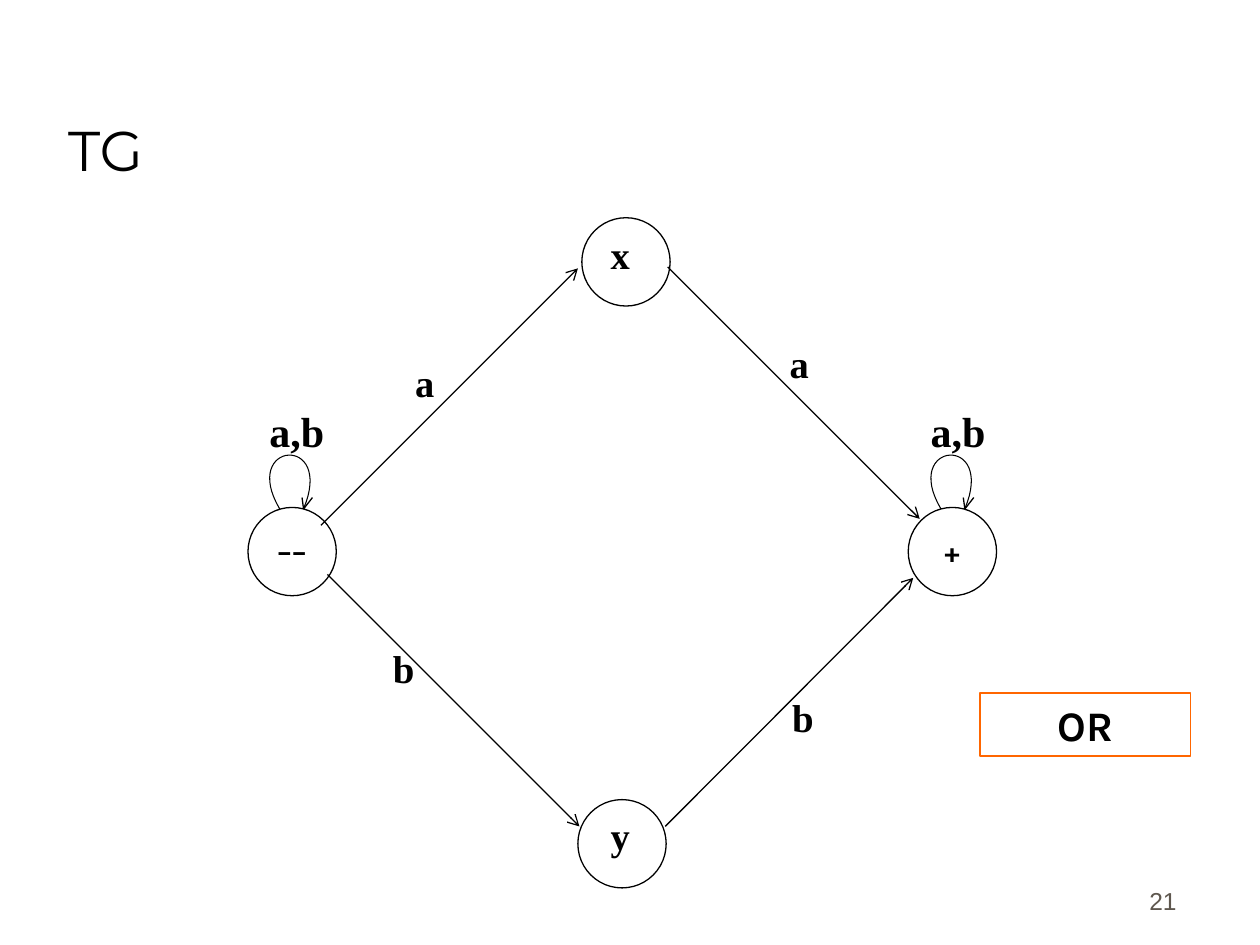
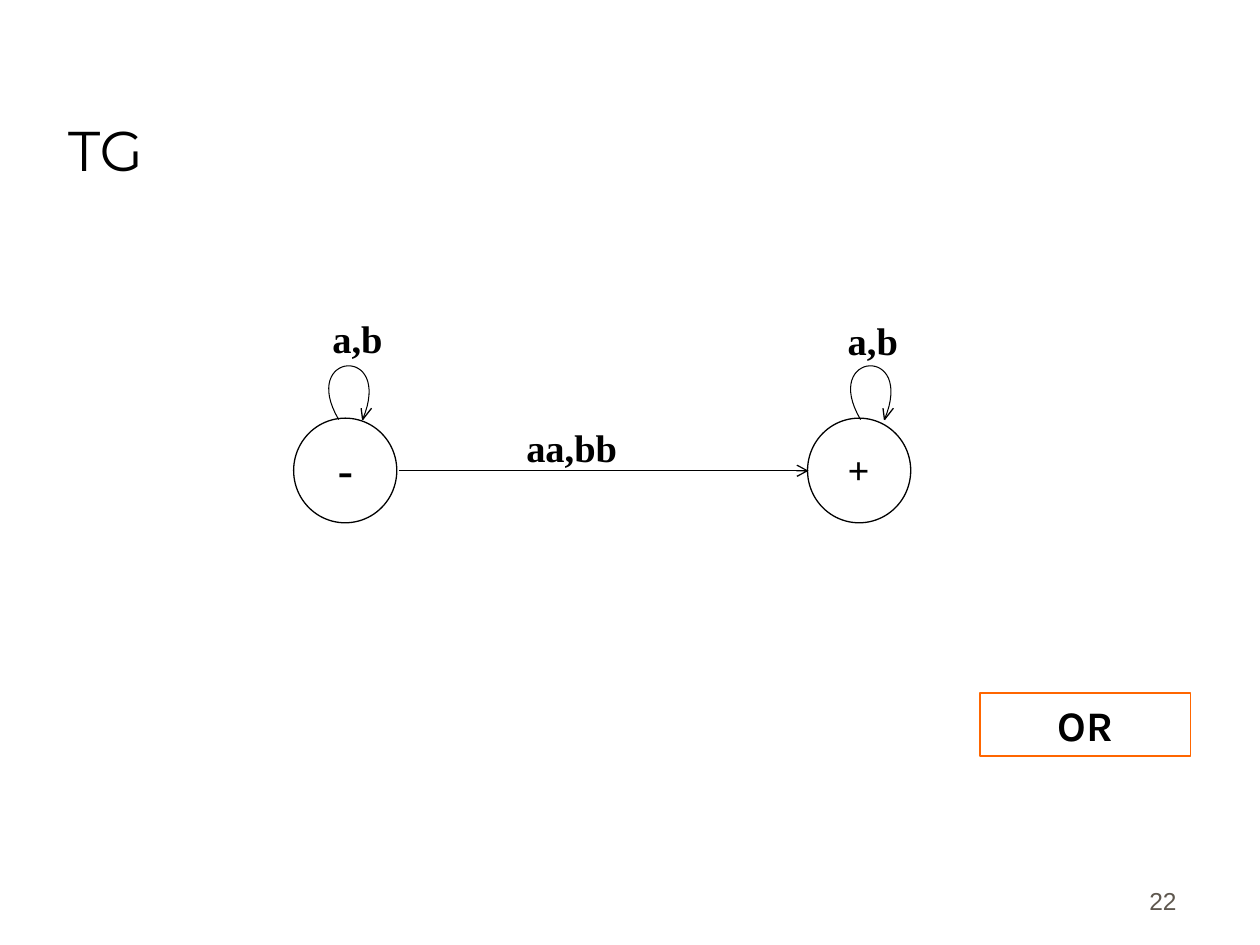
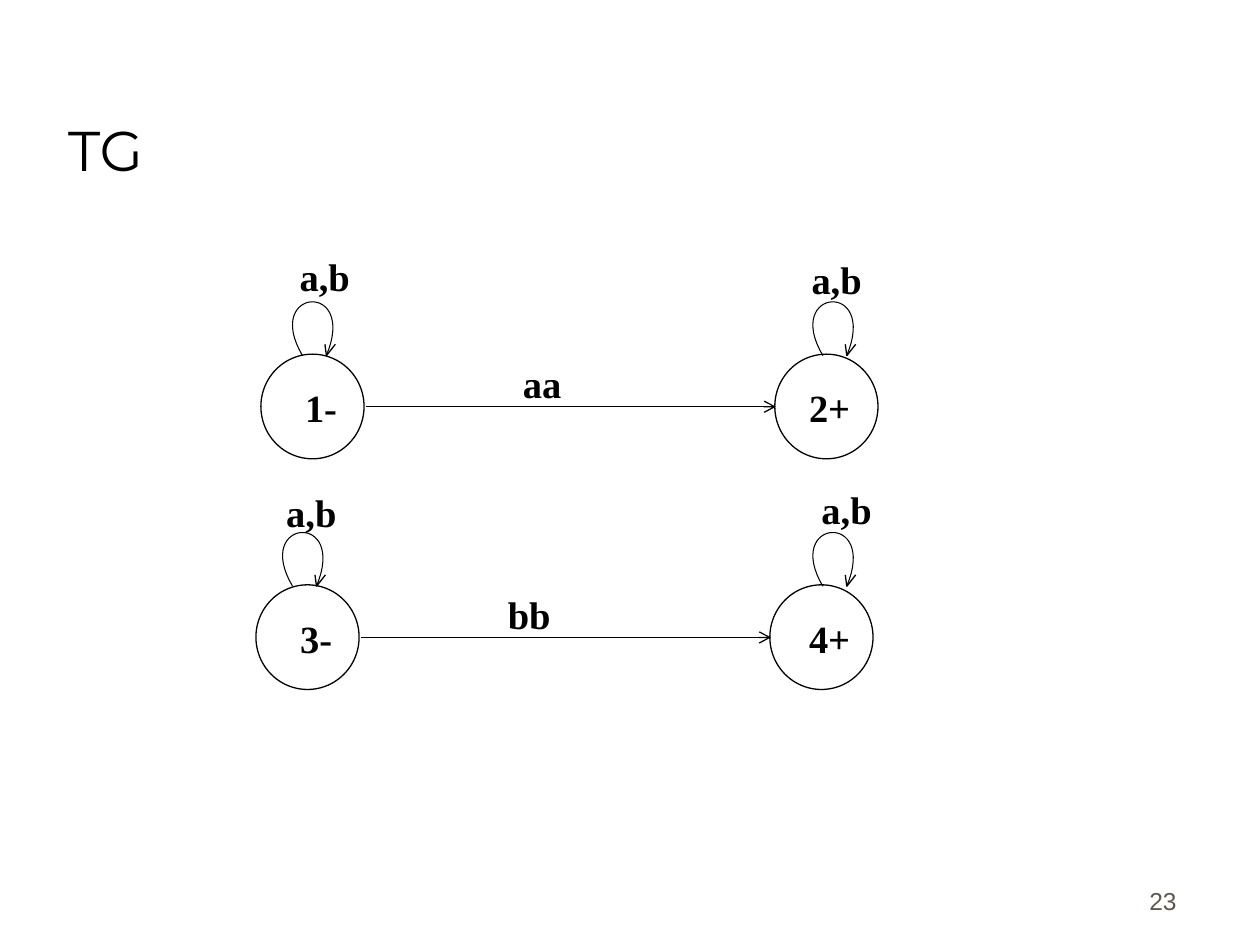
import pptx
import pptx.util
import pptx.dml.color
import pptx.enum.shapes
import pptx.enum.text
import pptx.oxml
import pptx.oxml.ns

Cm, Pt = pptx.util.Cm, pptx.util.Pt
KIND = pptx.enum.shapes.MSO_SHAPE
ALIGN = pptx.enum.text.PP_ALIGN
ANCHOR = pptx.enum.text.MSO_ANCHOR
HUES = {"ink": "000000", "paper": "FFFFFF", "frame": "FF6600", "page": "5E574E"}
FONTS = {"title": "Montserrat", "page": "Arial", "sign": "Karla", "mark": "Times New Roman"}


def hue(name):
    """Return the named colour."""
    return pptx.dml.color.RGBColor.from_string(HUES[name])


def write(shape, text, face, size, bold=False, align=ALIGN.LEFT, ink="ink"):
    """Put one formatted paragraph in a shape and return it."""
    frame = shape.text_frame
    frame.word_wrap = True
    frame.text = text
    para = frame.paragraphs[0]
    para.alignment = align
    font = para.font
    font.name, font.size, font.bold = FONTS[face], Pt(size), bold
    font.color.rgb = hue(ink)
    return para


def label(slide, text, x, y, size=22, lead=None):
    """Add a bold label for a state or an edge."""
    box = slide.shapes.add_textbox(Cm(x), Cm(y), Cm(2.49), Cm(1.7))
    write(box, text, "mark", size, True).line_spacing = lead


def sign(slide, text, x, y):
    """Add a centred sign on a state."""
    box = slide.shapes.add_textbox(Cm(x), Cm(y), Cm(2.49), Cm(1.27))
    write(box, text, "sign", 16, True, ALIGN.CENTER)


def panel(slide, kind, x, y, wide, high, edge="ink", width=0.75):
    """Add a white outlined shape."""
    shape = slide.shapes.add_shape(kind, Cm(x), Cm(y), Cm(wide), Cm(high))
    shape.shadow.inherit = False
    shape.fill.solid()
    shape.fill.fore_color.rgb = hue("paper")
    shape.line.color.rgb = hue(edge)
    shape.line.width = Pt(width)
    return shape


def line(slide, start, end, arrow=False):
    """Draw a straight line, with an arrowhead if asked."""
    ends = [Cm(v) for v in (*start, *end)]
    link = slide.shapes.add_connector(pptx.enum.shapes.MSO_CONNECTOR.STRAIGHT, *ends)
    link.line.color.rgb = hue("ink")
    link.line.width = Pt(0.75)
    props = link._element.spPr
    if arrow:
        stroke = props.find(pptx.oxml.ns.qn("a:ln"))
        tail = pptx.oxml.parse_xml(f'<a:tailEnd {pptx.oxml.ns.nsdecls("a")} type="arrow"/>')
        stroke.append(tail)
    props.append(pptx.oxml.parse_xml(f'<a:effectLst {pptx.oxml.ns.nsdecls("a")}/>'))


def loop(slide, x, y):
    """Draw a self-loop that leaves a state at the given point."""
    pulls = [(-0.81, -1.37), (1.12, -1.52), (0.48, 0)]
    steps = 32
    points = []
    for step in range(1, steps + 1):
        t = step / steps
        parts = (3 * t * (1 - t) ** 2, 3 * t * t * (1 - t), t ** 3)
        dx, dy = (sum(k * p[axis] for k, p in zip(parts, pulls)) for axis in (0, 1))
        points.append((Cm(x + dx), Cm(y + dy)))
    pen = slide.shapes.build_freeform(Cm(x), Cm(y))
    pen.add_line_segments(points, close=False)
    curve = pen.convert_to_shape()
    curve.shadow.inherit = False
    curve.fill.background()
    curve.line.color.rgb = hue("ink")
    curve.line.width = Pt(0.6)
    tip = x + 0.48, y
    for dx in (-0.03, 0.18):
        line(slide, (tip[0] + dx, y - 0.23), tip)


def page(deck, number):
    """Add a slide with its title and number."""
    slide = deck.slides.add_slide(deck.slide_layouts[5])
    title = slide.shapes.title
    title.left, title.top, title.width, title.height = Cm(1.12), Cm(0.64), Cm(21.59), Cm(3.18)
    write(title, "TG", "title", 32)
    title.text_frame.vertical_anchor = ANCHOR.BOTTOM
    foot = slide.shapes.add_textbox(Cm(18.69), Cm(17.3), Cm(5.28), Cm(1.27))
    write(foot, str(number), "page", 14, align=ALIGN.RIGHT, ink="page")
    foot.text_frame.vertical_anchor = ANCHOR.BOTTOM
    return slide


def choice(slide, x, y):
    """Add the framed word between two graphs."""
    box = panel(slide, KIND.RECTANGLE, x, y, 4.24, 1.27, "frame", 1)
    write(box, "OR", "sign", 24, True, ALIGN.CENTER)


def diamond(slide, x, y):
    """Draw the graph of four states."""
    for dx, dy in [(0, 5.84), (13.31, 5.84), (6.73, 0), (6.65, 11.73)]:
        panel(slide, KIND.OVAL, x + dx, y + dy, 1.78, 1.78)
    edges = [
        ((1.47, 6.2), (6.65, 1.02)),
        ((8.46, 0.99), (13.54, 6.07)),
        ((1.6, 7.19), (6.68, 12.27)),
        ((8.41, 12.27), (13.41, 7.26)),
    ]
    for (ax, ay), (bx, by) in edges:
        line(slide, (x + ax, y + ay), (x + bx, y + by), True)
    marks = [
        ("a", 3.12, 2.72, 22, None), ("a", 10.67, 2.34, 22, None),
        ("b", 2.67, 8.59, 22.2, 0.9), ("b", 10.72, 9.58, 22.2, 0.9),
        ("a,b", 0.18, 3.66, 24, None), ("a,b", 13.51, 3.66, 24, None),
        ("x", 7.06, 0.15, 22, None), ("y", 7.06, 11.86, 22, None),
    ]
    for text, dx, dy, size, lead in marks:
        label(slide, text, x + dx, y + dy, size, lead)
    for text, dx in [("––", -0.36), ("+", 12.95)]:
        sign(slide, text, x + dx, y + 6.27)
    for dx in (0.64, 13.97):
        loop(slide, x + dx, y + 5.87)


def pair(slide, x, y, loops, marks):
    """Draw two looped states joined by an arrow."""
    for dx in (0, 10.36):
        panel(slide, KIND.OVAL, x + dx, y, 2.08, 2.11)
    line(slide, (x + 2.12, y + 1.06), (x + 10.38, y + 1.06), True)
    for text, dx, dy, *size in marks:
        label(slide, text, x + dx, y + dy, *size)
    for dx in loops:
        loop(slide, x + dx, y + 0.03)


def main():
    """Build and save the deck."""
    deck = pptx.Presentation()
    deck.slide_width, deck.slide_height = Cm(25.4), Cm(19.05)

    first, second, third = [page(deck, number) for number in (21, 22, 23)]
    diamond(first, 5, 4.39)
    for slide in (first, second):
        choice(slide, 19.76, 13.97)
    pair(second, 5.92, 8.43, (0.91, 11.43), [
        ("aa,bb", 4.44, 0), ("a,b", 0.53, -2.21), ("a,b", 10.92, -2.16),
        ("-", 0.64, 0.33, 26), ("+", 10.92, 0.43),
    ])
    pair(third, 5.26, 7.14, (0.84, 11.33), [
        ("aa", 5.03, 0), ("a,b", 0.53, -2.16), ("a,b", 10.85, -2.11),
        ("1-", 0.64, 0.48), ("2+", 10.8, 0.48),
    ])
    pair(third, 5.16, 11.79, (0.74, 11.43), [
        ("bb", 4.83, 0), ("a,b", 0.36, -2.06), ("a,b", 11.15, -2.11),
        ("3-", 0.64, 0.48), ("4+", 10.9, 0.48),
    ])
    deck.save("out.pptx")


if __name__ == "__main__":
    main()
